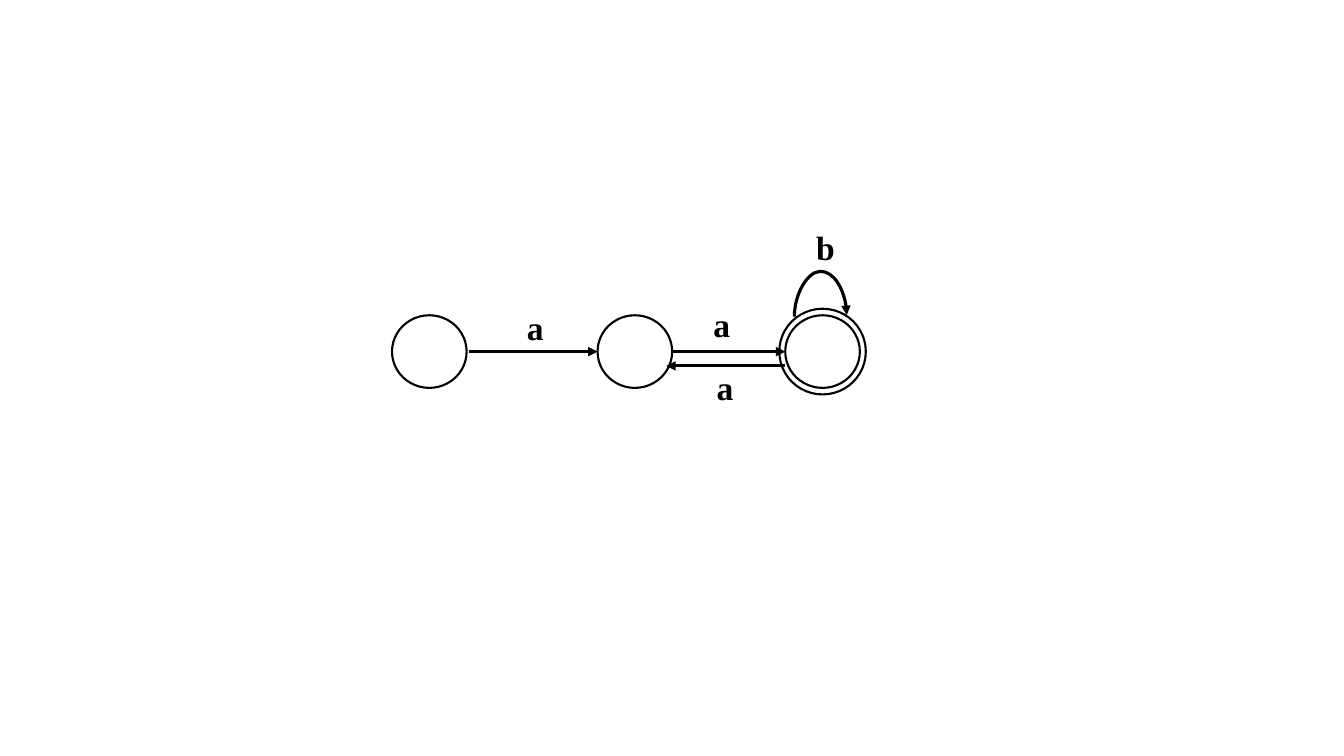
import dataclasses

import lxml.etree
import pptx
import pptx.dml.color
import pptx.enum.shapes
import pptx.oxml.ns
import pptx.util

Cm, Pt = pptx.util.Cm, pptx.util.Pt
qn = pptx.oxml.ns.qn
CONNECTOR = pptx.enum.shapes.MSO_CONNECTOR


@dataclasses.dataclass(frozen=True)
class Theme:
    ink: pptx.dml.color.RGBColor = pptx.dml.color.RGBColor(0, 0, 0)
    font: str = "Times New Roman"
    label_size: int = 24
    state_line: float = 1.5
    arrow_line: float = 2.25


class Automaton:
    """Draws states, transitions and labels on one slide; lengths are in cm."""

    def __init__(self, slide, theme):
        self.shapes = slide.shapes
        self.theme = theme

    def state(self, cx, cy, width, height):
        sp = self.shapes.add_shape(
            pptx.enum.shapes.MSO_SHAPE.OVAL,
            Cm(cx - width / 2), Cm(cy - height / 2), Cm(width), Cm(height))
        sp.shadow.inherit = False
        sp.fill.background()
        sp.line.color.rgb = self.theme.ink
        sp.line.width = Pt(self.theme.state_line)

    def arrow(self, x1, y1, x2, y2, kind=CONNECTOR.STRAIGHT):
        cxn = self.shapes.add_connector(kind, Cm(x1), Cm(y1), Cm(x2), Cm(y2))
        cxn.line.color.rgb = self.theme.ink
        cxn.line.width = Pt(self.theme.arrow_line)
        ln = cxn.line._get_or_add_ln()
        lxml.etree.SubElement(ln, qn("a:tailEnd"), type="triangle")
        lxml.etree.SubElement(cxn._element.spPr, qn("a:effectLst"))
        return cxn

    def loop(self, cx, cy, span, rise, drop=0.04):
        """Arc from left to right over (cx, cy): a curved connector turned by 90 degrees."""
        cxn = self.arrow(cx + drop / 2, cy + span / 2,
                         cx - drop / 2, cy - span / 2, CONNECTOR.CURVE)
        spPr = cxn._element.spPr
        spPr.find(qn("a:xfrm")).set("rot", "5400000")
        avLst = spPr.find(qn("a:prstGeom")).find(qn("a:avLst"))
        lxml.etree.SubElement(avLst, qn("a:gd"), name="adj1",
                              fmla=f"val {round(rise / drop * 100000)}")

    def label(self, text, left, top):
        tf = self.shapes.add_textbox(Cm(left), Cm(top), Cm(1.5), Cm(1.27)).text_frame
        tf.word_wrap = True
        tf.text = text
        font = tf.paragraphs[0].runs[0].font
        font.name = self.theme.font
        font.size = Pt(self.theme.label_size)
        font.bold = True
        font.color.rgb = self.theme.ink


def main():
    prs = pptx.Presentation()
    prs.slide_width, prs.slide_height = Cm(33.87), Cm(19.05)
    slide = prs.slides.add_slide(prs.slide_layouts[6])
    fa = Automaton(slide, Theme())

    axis, width, height = 8.86, 1.88, 1.83
    start, middle, final = 10.82, 16.0, 20.73
    radius = width / 2
    for cx in (start, middle, final):
        fa.state(cx, axis, width, height)
    fa.state(final, axis, 2.18, 2.16)

    fa.arrow(start + radius + 0.05, axis, middle - radius, axis)
    fa.arrow(middle + radius, axis, final - radius, axis)
    fa.arrow(final - radius, 9.22, 16.79, 9.22)
    fa.loop(20.68, 7.96, span=1.32, rise=1.14)

    for text, left, top in (("a", 13.03, 7.62), ("a", 17.73, 7.54),
                            ("a", 17.81, 9.12), ("b", 20.32, 5.59)):
        fa.label(text, left, top)

    prs.save("out.pptx")


if __name__ == "__main__":
    main()
